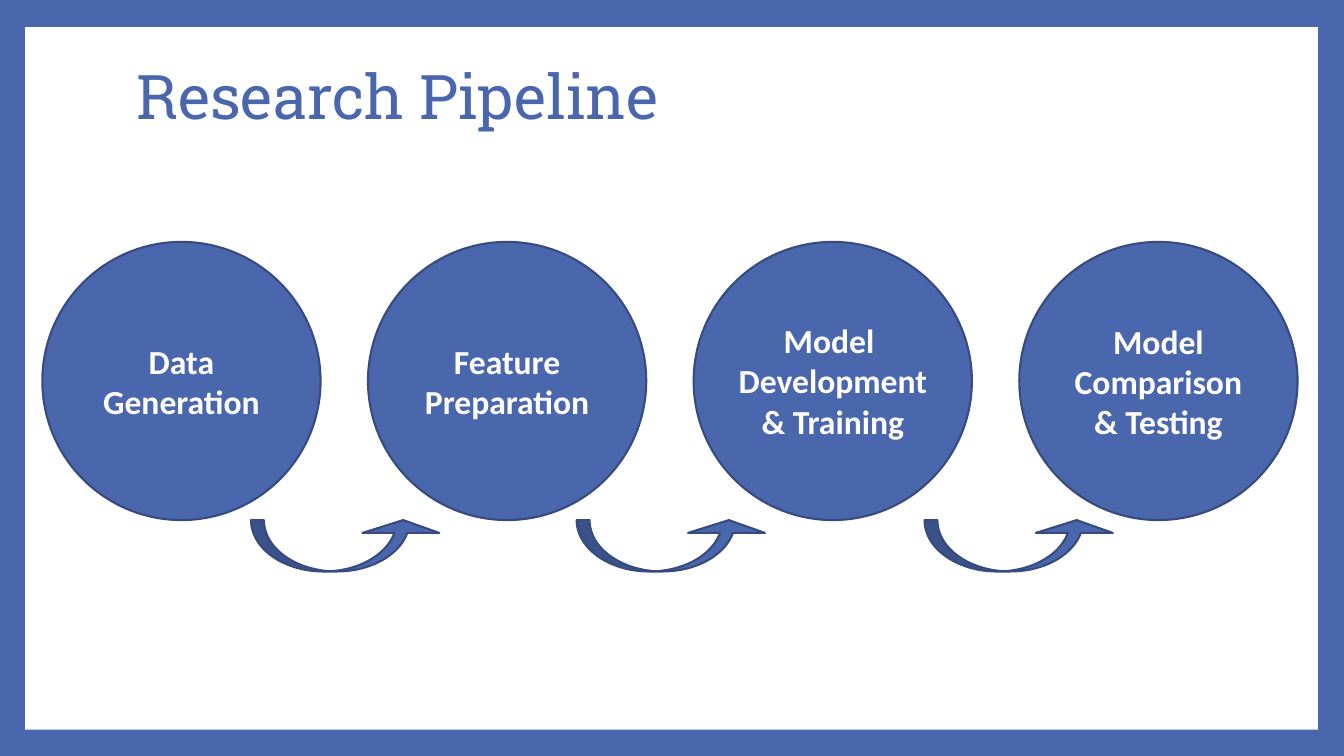
from dataclasses import dataclass

from pptx import Presentation
from pptx.dml.color import RGBColor
from pptx.enum.shapes import MSO_SHAPE as Shape
from pptx.enum.text import MSO_ANCHOR as Anchor, MSO_AUTO_SIZE as AutoSize, PP_ALIGN as Align
from pptx.util import Inches, Pt


@dataclass(frozen=True)
class Theme:
    blue: RGBColor = RGBColor(0x4A, 0x66, 0xAC)
    outline: RGBColor = RGBColor(0x37, 0x4B, 0x7F)
    white: RGBColor = RGBColor(0xFF, 0xFF, 0xFF)
    title_font: str = "Roboto Slab"
    label_font: str = "Calibri"
    title_size: Pt = Pt(44)
    label_size: Pt = Pt(24)
    outline_width: Pt = Pt(1.5)


THEME = Theme()
TITLE_FORMAT = {"name": THEME.title_font, "size": THEME.title_size}
LABEL_FORMAT = {"name": THEME.label_font, "size": THEME.label_size, "bold": True}

# Each stage: label lines and the arrow's offset from the left of its circle
STAGES = [
    (["Data Generation"], 2.07),
    (["Feature Preparation"], 2.07),
    (["Model ", "Development", "& Training"], 2.29),
    (["Model Comparison & Testing"], None),
]
CIRCLE_SIZE = 2.76
CIRCLE_PITCH = 3.23
ARROW_WIDTH, ARROW_HEIGHT = 1.89, 0.51
LABEL_WIDTH, LABEL_HEIGHT = 2.17, 1.31


def inches(*lengths):
    return [Inches(length) for length in lengths]


def format_font(font, values, color):
    for attribute, value in values.items():
        setattr(font, attribute, value)
    font.color.rgb = color


def add_solid(slide, preset, box, fill, outline=None):
    solid = slide.shapes.add_shape(preset, *inches(*box))
    solid.shadow.inherit = False
    solid.fill.solid()
    solid.fill.fore_color.rgb = fill
    if outline is None:
        solid.line.fill.background()
    else:
        solid.line.color.rgb = outline
        solid.line.width = THEME.outline_width
    return solid


def write_label(frame, lines):
    for index, line in enumerate(lines):
        paragraph = frame.add_paragraph() if index else frame.paragraphs[0]
        paragraph.alignment = Align.CENTER
        run = paragraph.add_run()
        run.text = line
        format_font(run.font, LABEL_FORMAT, THEME.white)


def add_frame(slide, box):
    """Blue border around a white panel, kept behind the title."""
    slide.background.fill.solid()
    slide.background.fill.fore_color.rgb = THEME.blue
    panel = add_solid(slide, Shape.RECTANGLE, box, THEME.white)
    slide.shapes.title.element.addprevious(panel.element)


def add_title(slide, box, text):
    title = slide.shapes.title
    title.left, title.top, title.width, title.height = inches(*box)
    frame = title.text_frame
    frame.vertical_anchor = Anchor.MIDDLE
    heading = frame.paragraphs[0]
    heading.alignment = Align.LEFT
    heading.line_spacing = 0.9
    run = heading.add_run()
    run.text = text
    format_font(run.font, TITLE_FORMAT, THEME.blue)


def add_stage(slide, left, top, lines):
    circle = add_solid(slide, Shape.OVAL, (left, top, CIRCLE_SIZE, CIRCLE_SIZE),
                       THEME.blue, THEME.outline)
    if len(lines) == 1:
        frame = circle.text_frame
        frame.word_wrap = True
        frame.vertical_anchor = Anchor.MIDDLE
    else:
        # Fixed line breaks need a label wider than the circle's text area
        label = slide.shapes.add_textbox(*inches(
            left + (CIRCLE_SIZE - LABEL_WIDTH) / 2, top + (CIRCLE_SIZE - LABEL_HEIGHT) / 2,
            LABEL_WIDTH, LABEL_HEIGHT))
        frame = label.text_frame
        frame.word_wrap = False
        frame.auto_size = AutoSize.SHAPE_TO_FIT_TEXT
    write_label(frame, lines)


def add_arrow(slide, left, top):
    arrow = add_solid(slide, Shape.CURVED_UP_ARROW, (left, top, ARROW_WIDTH, ARROW_HEIGHT),
                      THEME.blue, THEME.outline)
    for index, value in enumerate((0.25, 1.497, 0.25)):
        arrow.adjustments[index] = value


def add_pipeline(slide, left, top):
    """Row of stage circles, then the arrows that link them below."""
    for index, (lines, _) in enumerate(STAGES):
        add_stage(slide, left + index * CIRCLE_PITCH, top, lines)
    for index, (_, offset) in enumerate(STAGES):
        if offset is not None:
            add_arrow(slide, left + index * CIRCLE_PITCH + offset, top + CIRCLE_SIZE)


def main():
    deck = Presentation()
    deck.slide_width, deck.slide_height = inches(13.33, 7.5)
    slide = deck.slides.add_slide(deck.slide_layouts.get_by_name("Title Only"))
    add_frame(slide, (0.25, 0.27, 12.82, 6.97))
    add_title(slide, (1.25, 0.25, 10.8, 1.48), "Research Pipeline")
    add_pipeline(slide, 0.42, 2.4)
    deck.save("out.pptx")


if __name__ == "__main__":
    main()
